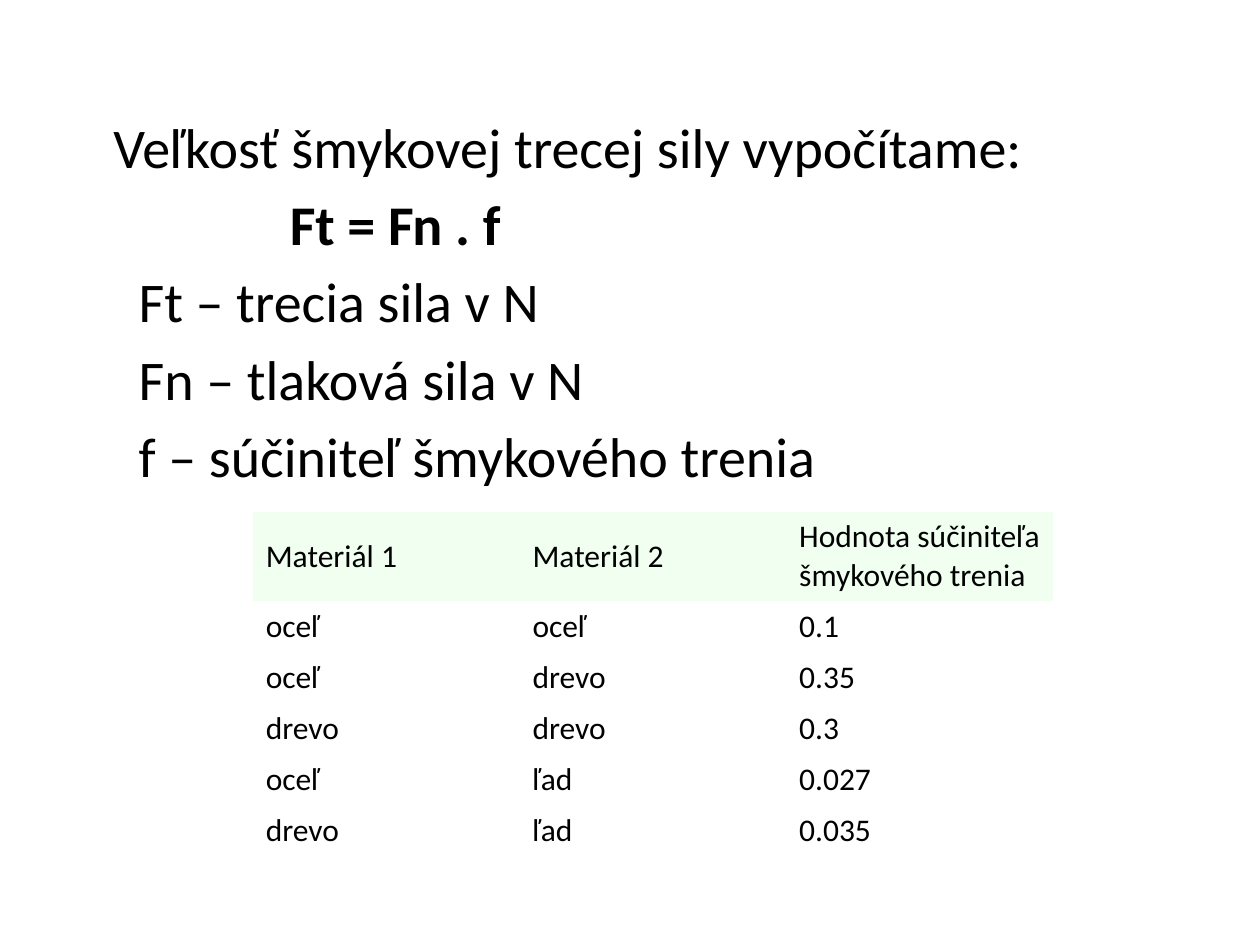
from pptx import Presentation
from pptx.dml.color import RGBColor
from pptx.enum.text import MSO_ANCHOR, MSO_AUTO_SIZE
from pptx.oxml.ns import qn
from pptx.util import Inches, Pt

BLACK = RGBColor(0x00, 0x00, 0x00)
WHITE = RGBColor(0xFF, 0xFF, 0xFF)
HONEYDEW = RGBColor(0xF0, 0xFF, 0xF0)
MIDDLE = MSO_ANCHOR.MIDDLE
NO_AUTOFIT = MSO_AUTO_SIZE.NONE
FONT = "Calibri"
NO_GRID_STYLE = "{2D5ABB26-0587-4C30-8999-92F81FD0307C}"

# Text, left indent in inches, bold
FORMULA_LINES = [
    ("Veľkosť šmykovej trecej sily vypočítame:", 0.3, False),
    ("Ft = Fn . f", 1.7, True),
    ("Ft – trecia sila v N", 0.5, False),
    ("Fn – tlaková sila v N", 0.5, False),
    ("f – súčiniteľ šmykového trenia", 0.5, False),
]
FRICTION_ROWS = [
    ("Materiál 1", "Materiál 2", "Hodnota súčiniteľa šmykového trenia"),
    ("oceľ", "oceľ", "0.1"),
    ("oceľ", "drevo", "0.35"),
    ("drevo", "drevo", "0.3"),
    ("oceľ", "ľad", "0.027"),
    ("drevo", "ľad", "0.035"),
]


def write(p, text, size=18, bold=False, color=BLACK):
    r = p.add_run()
    r.text = text
    r.font.name = FONT
    r.font.size = Pt(size)
    r.font.bold = bold
    r.font.color.rgb = color


def add_formula(slide, left, top, width, height):
    """Fill the body placeholder with the formula and its legend."""
    sp = slide.placeholders[1]
    sp.left, sp.top, sp.width, sp.height = left, top, width, height
    tf = sp.text_frame
    tf.word_wrap = True
    tf.auto_size = NO_AUTOFIT
    for i, (text, indent, bold) in enumerate(FORMULA_LINES):
        p = tf.add_paragraph() if i else tf.paragraphs[0]
        pPr = p._p.get_or_add_pPr()
        pPr.set("marL", str(Inches(indent)))
        pPr.set("indent", "0")
        pPr.append(pPr.makeelement(qn("a:buNone"), {}))
        p.space_before = Pt(5.8 if i else 0)
        write(p, text, size=32, bold=bold)


def add_friction_table(slide, left, top, width, height):
    """Table of friction coefficients; the header is a taller row."""
    n_rows, n_cols = len(FRICTION_ROWS), len(FRICTION_ROWS[0])
    table = slide.shapes.add_table(n_rows, n_cols, left, top, width, height).table
    table._tbl.tblPr.find(qn("a:tableStyleId")).text = NO_GRID_STYLE
    table.horz_banding = False
    row_height = int(height * 0.15)
    for i, texts in enumerate(FRICTION_ROWS):
        table.rows[i].height = row_height if i else height - row_height * (n_rows - 1)
        for j, text in enumerate(texts):
            cell = table.cell(i, j)
            cell.vertical_anchor = MIDDLE
            if i:
                cell.fill.background()
            else:
                cell.fill.solid()
                cell.fill.fore_color.rgb = HONEYDEW
            write(cell.text_frame.paragraphs[0], text)


def main():
    prs = Presentation()
    prs.slide_width, prs.slide_height = Inches(10), Inches(7.5)
    slide = prs.slides.add_slide(prs.slide_layouts[1])
    slide.background.fill.solid()
    slide.background.fill.fore_color.rgb = WHITE

    # The slide has no title
    title = slide.shapes.title._element
    title.getparent().remove(title)

    add_formula(slide, Inches(0.5), Inches(0.84), Inches(9), Inches(3.62))
    add_friction_table(slide, Inches(2.01), Inches(4.06), Inches(6.35), Inches(2.7))
    prs.save("out.pptx")


if __name__ == "__main__":
    main()
